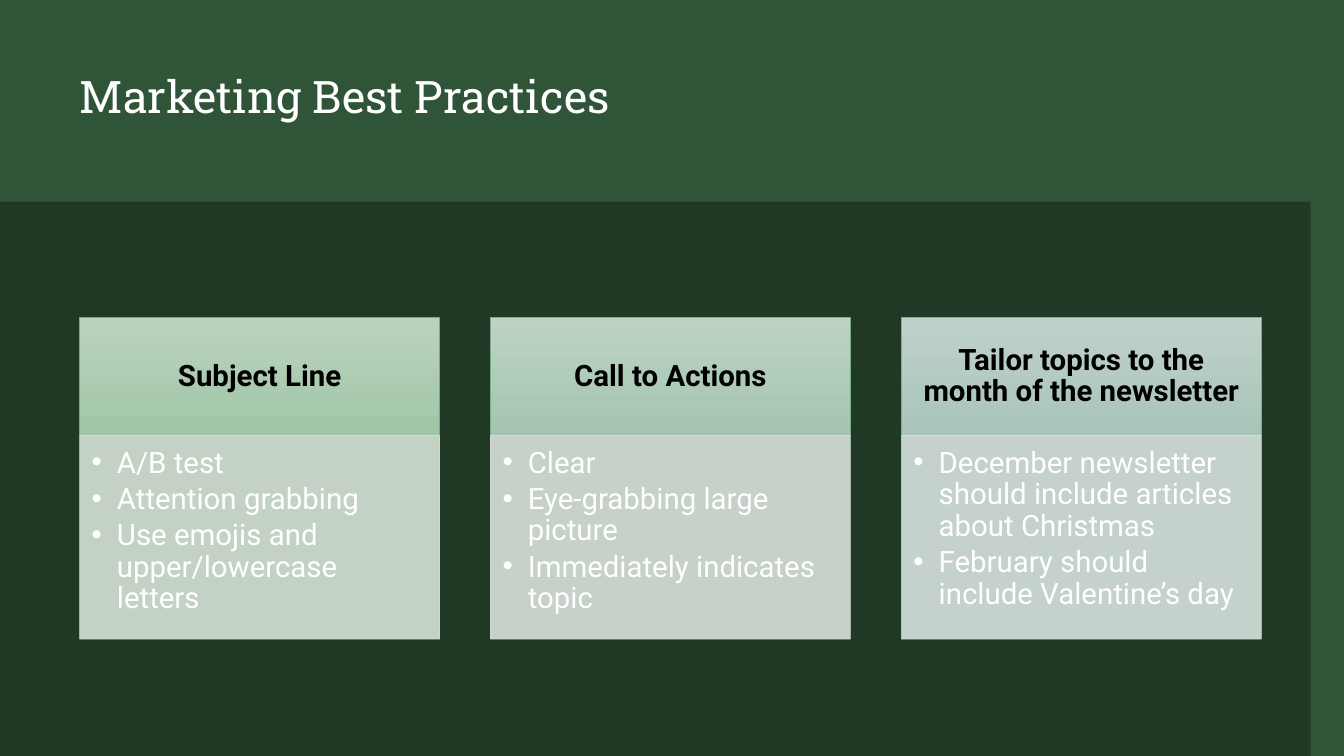
from dataclasses import dataclass

from lxml.etree import SubElement
from pptx import Presentation
from pptx.dml.color import RGBColor
from pptx.enum.shapes import MSO_SHAPE
from pptx.enum.text import MSO_ANCHOR, PP_ALIGN
from pptx.oxml.ns import qn
from pptx.util import Inches, Pt


@dataclass(frozen=True)
class Theme:
    dark: str = "203925"
    green: str = "2F5437"
    white: str = "FFFFFF"
    black: str = "000000"
    title_font: str = "Roboto Slab"
    body_font: str = "Roboto"
    title_size: int = 32
    body_size: int = 21
    line_width: float = 0.5
    body_alpha: int = 90


T = Theme()
W, H = 13.33, 7.5
LEFT, CONTENT_W = 0.79, 11.72
CARD_TOP, CARD_W, CARD_H = 3.15, 3.57, 3.19
HEADER_SHARE = 0.367
BULLET_INDENT = 0.25

# Torn edge of the lower panel, left to right
EDGE = [(0.01, 2.02), (0.08, 2.02), (1.4, 2.07), (2.72, 2.05), (4.36, 2.01),
        (10.12, 1.9), (11.77, 1.98), (12.43, 1.97), (13.23, 1.95), (W, 1.95)]

# Heading, gradient top and bottom, header line, body colour, bullets
CARDS = [
    ("Subject Line", "BAD3BE", "A1C5A7", "76AC80", "D6E3D8",
     ["A/B test", "Attention grabbing", "Use emojis and upper/lowercase letters"]),
    ("Call to Actions", "BDD3C5", "A4C4B0", "7CAB8E", "D7E2DB",
     ["Clear", "Eye-grabbing large picture", "Immediately indicates topic"]),
    ("Tailor topics to the month of the newsletter", "BFD2CA", "A8C4B8", "81AA9A", "D8E2DE",
     ["December newsletter should include articles about Christmas",
      "February should include Valentine’s day"]),
]


def rgb(color):
    return RGBColor.from_string(color)


def solid(fill, color, alpha=100):
    fill.solid()
    fill.fore_color.rgb = rgb(color)
    if alpha < 100:
        clr = fill._xPr.find(qn("a:solidFill"))[0]
        SubElement(clr, qn("a:alpha"), val=str(alpha * 1000))


def add_rect(s, x, y, w, h):
    sp = s.shapes.add_shape(MSO_SHAPE.RECTANGLE, Inches(x), Inches(y), Inches(w), Inches(h))
    sp.shadow.inherit = False
    return sp


def set_frame(tf, insets, anchor):
    tf.word_wrap = True
    tf.vertical_anchor = anchor
    tf.margin_left, tf.margin_top, tf.margin_right, tf.margin_bottom = map(Inches, insets)


def add_text(p, text, font, size, color, bold=False):
    r = p.add_run()
    r.text = text
    r.font.name, r.font.size, r.font.bold = font, Pt(size), bold
    r.font.color.rgb = rgb(color)


def add_bullet(p):
    pPr = p._p.get_or_add_pPr()
    pPr.set("marL", str(Inches(BULLET_INDENT)))
    pPr.set("indent", str(-Inches(BULLET_INDENT)))
    SubElement(pPr, qn("a:buFont"), typeface="Arial")
    SubElement(pPr, qn("a:buChar"), char="•")


def draw_backdrop(s):
    solid(s.background.fill, T.dark)
    band = add_rect(s, 0, 0, W, H)
    solid(band.fill, T.green)
    band.line.fill.background()

    # Lower panel with the torn edge
    builder = s.shapes.build_freeform(*EDGE[0], scale=Inches(1))
    builder.add_line_segments(EDGE[1:] + [(W, H), (0, H)], close=True)
    panel = builder.convert_to_shape()
    panel.shadow.inherit = False
    solid(panel.fill, T.dark)
    panel.line.fill.background()


def draw_title(s, x, y, w, h, text):
    tb = s.shapes.add_textbox(Inches(x), Inches(y), Inches(w), Inches(h))
    set_frame(tb.text_frame, (0, 0, 0, 0), MSO_ANCHOR.TOP)
    add_text(tb.text_frame.paragraphs[0], text, T.title_font, T.title_size, T.white)


def draw_card(s, x, y, w, h, card):
    heading, top, bottom, edge, tint, bullets = card
    head_h = h * HEADER_SHARE

    # Gradient header
    head = add_rect(s, x, y, w, head_h)
    head.fill.gradient()
    head.fill.gradient_angle = 270
    for stop, color in zip(head.fill.gradient_stops, (top, bottom)):
        stop.color.rgb = rgb(color)
    solid(head.line.fill, edge)
    head.line.width = Pt(T.line_width)
    set_frame(head.text_frame, (0.16, 0.09, 0.16, 0.09), MSO_ANCHOR.MIDDLE)
    p = head.text_frame.paragraphs[0]
    p.alignment, p.line_spacing = PP_ALIGN.CENTER, 0.9
    add_text(p, heading, T.body_font, T.body_size, T.black, bold=True)

    # Translucent body with bullets
    body = add_rect(s, x, y + head_h, w, h - head_h)
    solid(body.fill, tint, T.body_alpha)
    solid(body.line.fill, tint, T.body_alpha)
    body.line.width = Pt(T.line_width)
    tf = body.text_frame
    set_frame(tf, (0.12, 0.12, 0.16, 0.18), MSO_ANCHOR.TOP)
    for i, text in enumerate(bullets):
        p = tf.add_paragraph() if i else tf.paragraphs[0]
        p.alignment, p.line_spacing = PP_ALIGN.LEFT, 0.9
        p.space_after = Pt(0.15 * T.body_size)
        add_bullet(p)
        add_text(p, text, T.body_font, T.body_size, T.white)


def draw_cards(s, x, y, w, h):
    pitch = (w - CARD_W) / (len(CARDS) - 1)
    for i, card in enumerate(CARDS):
        draw_card(s, x + i * pitch, y, CARD_W, h, card)


def main():
    prs = Presentation()
    prs.slide_width, prs.slide_height = Inches(W), Inches(H)
    s = prs.slides.add_slide(prs.slide_layouts[6])
    draw_backdrop(s)
    draw_title(s, LEFT, 0.68, CONTENT_W, 0.75, "Marketing Best Practices")
    draw_cards(s, LEFT, CARD_TOP, CONTENT_W, CARD_H)
    prs.save("out.pptx")


if __name__ == "__main__":
    main()
